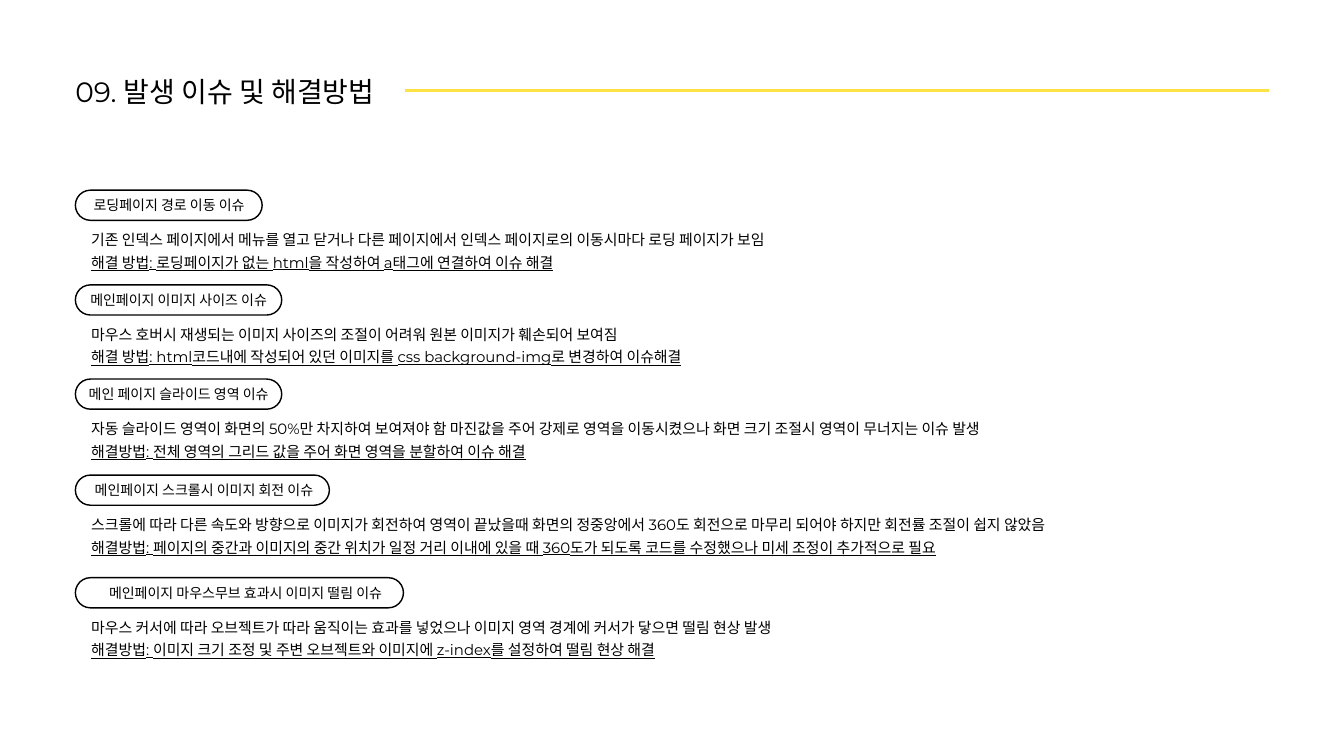
"""Build the slide that lists project issues and how each was solved."""
from lxml.etree import SubElement
from pptx import Presentation
from pptx.dml.color import RGBColor
from pptx.enum.shapes import MSO_CONNECTOR, MSO_SHAPE
from pptx.enum.text import MSO_ANCHOR, MSO_AUTO_SIZE, PP_ALIGN
from pptx.oxml.ns import qn
from pptx.util import Cm, Pt

TITLE = "09. 발생 이슈 및 해결방법"

ISSUES = [
    dict(label="로딩페이지 경로 이동 이슈",
         problem="기존 인덱스 페이지에서 메뉴를 열고 닫거나 다른 페이지에서 인덱스 페이지로의 이동시마다 로딩 페이지가 보임",
         fix="해결 방법: 로딩페이지가 없는 html을 작성하여 a태그에 연결하여 이슈 해결",
         top=7.19, pill_w=7.06, label_x=2.13, label_w=8.53, text_w=26.77, font="Calibri"),
    dict(label="메인페이지 이미지 사이즈 이슈",
         problem="마우스 호버시 재생되는 이미지 사이즈의 조절이 어려워 원본 이미지가 훼손되어 보여짐",
         fix="해결 방법: html코드내에 작성되어 있던 이미지를 css background-img로 변경하여 이슈해결",
         top=10.77, pill_w=7.8, label_x=2.49, label_w=8.53, text_w=23.6, font="Calibri"),
    dict(label="메인 페이지 슬라이드 영역 이슈",
         problem="자동 슬라이드 영역이 화면의 50%만 차지하여 보여져야 함 마진값을 주어 강제로 영역을 이동시켰으나 "
                 "화면 크기 조절시 영역이 무너지는 이슈 발생",
         fix="해결방법: 전체 영역의 그리드 값을 주어 화면 영역을 분할하여 이슈 해결",
         top=14.33, pill_w=7.8, label_x=2.49, label_w=8.53, text_w=34.82, font="Montserrat"),
    dict(label="메인페이지 스크롤시 이미지 회전 이슈",
         problem="스크롤에 따라 다른 속도와 방향으로 이미지가 회전하여 영역이 끝났을때 화면의 정중앙에서 "
                 "360도 회전으로 마무리 되어야 하지만 회전률 조절이 쉽지 않았음",
         fix="해결방법: 페이지의 중간과 이미지의 중간 위치가 일정 거리 이내에 있을 때 "
             "360도가 되도록 코드를 수정했으나 미세 조정이 추가적으로 필요",
         top=17.96, pill_w=9.6, label_x=2.49, label_w=10.44, text_w=39.57, font="Montserrat"),
    dict(label="메인페이지 마우스무브 효과시 이미지 떨림 이슈",
         problem="마우스 커서에 따라 오브젝트가 따라 움직이는 효과를 넣었으나 이미지 영역 경계에 커서가 닿으면 떨림 현상 발생",
         fix="해결방법: 이미지 크기 조정 및 주변 오브젝트와 이미지에 z-index를 설정하여 떨림 현상 해결",
         top=21.84, pill_w=12.4, label_x=2.49, label_w=13.59, text_w=27.76, font="Calibri"),
]

THEME = dict(
    ink=RGBColor(0, 0, 0), paper=RGBColor(255, 255, 255), accent=RGBColor(0xFD, 0xE2, 0x45),
    font="Montserrat", label_font="Calibri",
    title=Pt(30), body=Pt(16), label=Pt(15),
    title_ls=Pt(31.8), body_ls=Pt(24), label_ls=Pt(15.9),
)
LEFT, PILL_H = 2.85, 1.14
TEXT_X, TEXT_DY, TEXT_H = 3.45, 1.37, 1.57
LABEL_DY, LABEL_H = 0.33, 0.56
RULE_X, RULE_END, RULE_Y = 15.29, 47.95, 3.43


def place(sp, x, y, w, h):
    sp.left, sp.top, sp.width, sp.height = Cm(x), Cm(y), Cm(w), Cm(h)


def write(tf, lines, kind, align=PP_ALIGN.LEFT):
    tf.margin_left = tf.margin_right = tf.margin_top = tf.margin_bottom = 0
    tf.word_wrap, tf.auto_size, tf.vertical_anchor = True, MSO_AUTO_SIZE.NONE, MSO_ANCHOR.TOP
    tf.text = "\n".join(text for text, _, _ in lines)
    for p, (_, font, underline) in zip(tf.paragraphs, lines):
        p.alignment, p.line_spacing = align, THEME[kind + "_ls"]
        p.space_before = p.space_after = Pt(0)
        for r in p.runs:
            r.font.name, r.font.size = font, THEME[kind]
            r.font.color.rgb = THEME["ink"]
            if underline:
                r.font.underline = True


def add_text(s, box, lines, kind, align=PP_ALIGN.LEFT):
    sp = s.shapes.add_textbox(*map(Cm, box))
    write(sp.text_frame, lines, kind, align)


def add_rule(s):
    line = s.shapes.add_connector(MSO_CONNECTOR.STRAIGHT, Cm(RULE_X), Cm(RULE_Y), Cm(RULE_END), Cm(RULE_Y))
    line.line.color.rgb, line.line.width = THEME["accent"], Pt(3)
    SubElement(line._element.spPr, qn("a:effectLst"))


def add_pill(s, top, width):
    sp = s.shapes.add_shape(MSO_SHAPE.ROUNDED_RECTANGLE, Cm(LEFT), Cm(top), Cm(width), Cm(PILL_H))
    sp.adjustments[0] = 0.5
    sp.shadow.inherit = False
    sp.fill.solid()
    sp.fill.fore_color.rgb = THEME["paper"]
    sp.line.color.rgb, sp.line.width = THEME["ink"], Pt(1.5)


def add_issue(s, issue):
    top = issue["top"]
    add_pill(s, top, issue["pill_w"])
    add_text(s, (issue["label_x"], top + LABEL_DY, issue["label_w"], LABEL_H),
             [(issue["label"], THEME["label_font"], False)], "label", PP_ALIGN.CENTER)
    add_text(s, (TEXT_X, top + TEXT_DY, issue["text_w"], TEXT_H),
             [(issue["problem"], issue["font"], False), (issue["fix"], THEME["font"], True)], "body")


def main():
    prs = Presentation()
    prs.slide_width, prs.slide_height = Cm(50.8), Cm(28.58)
    s = prs.slides.add_slide(prs.slide_layouts[5])
    place(s.shapes.title, LEFT, 2.97, 16.3, 1.14)
    write(s.shapes.title.text_frame, [(TITLE, THEME["font"], False)], "title")
    add_rule(s)
    for issue in ISSUES:
        add_issue(s, issue)
    prs.save("out.pptx")


if __name__ == "__main__":
    main()
